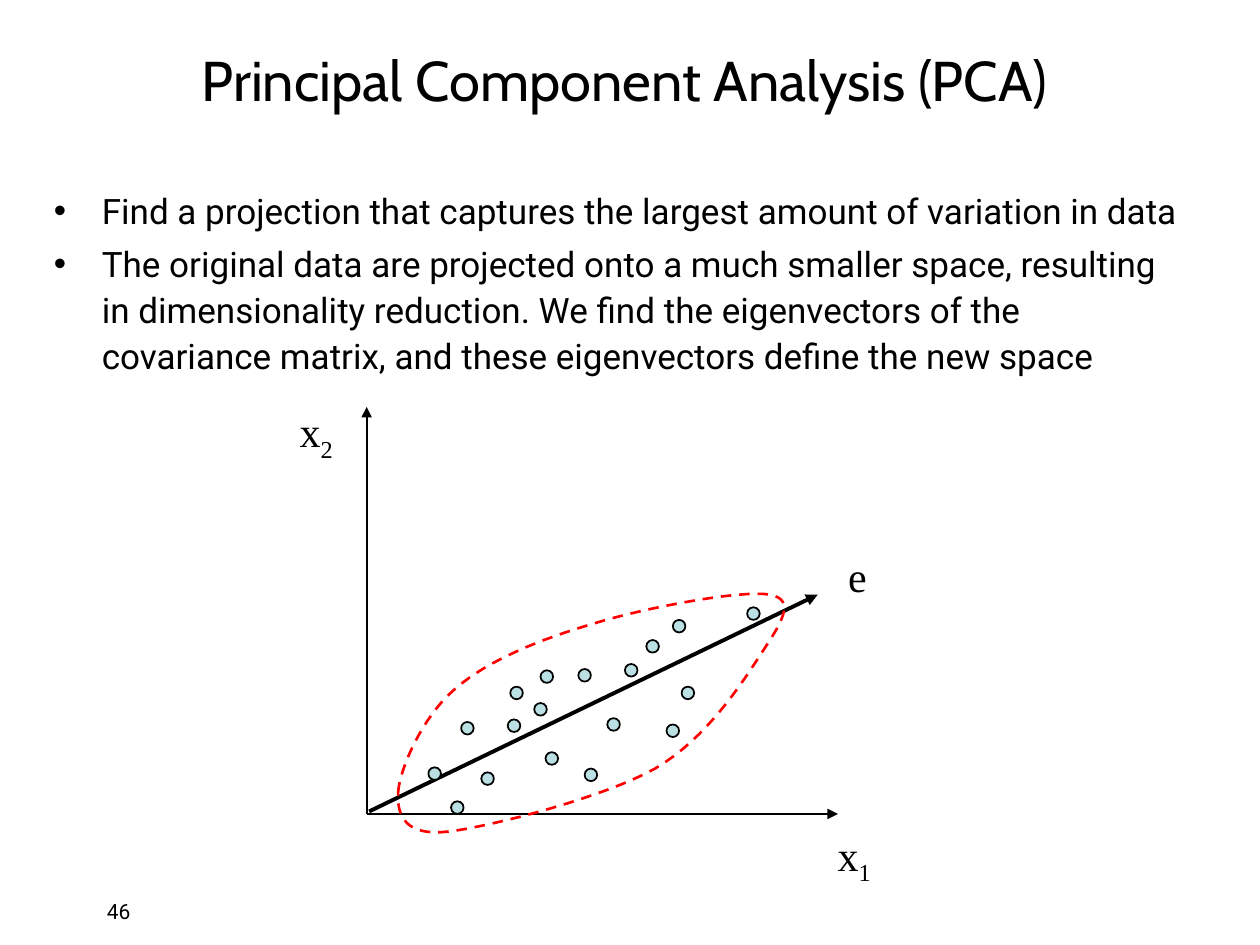
"""Build the slide on principal component analysis."""
import pptx
import pptx.dml.color
import pptx.enum.dml
import pptx.enum.shapes
import pptx.enum.text
import pptx.oxml
import pptx.oxml.ns
import pptx.util

Inches = pptx.util.Inches
Pt = pptx.util.Pt
PP_ALIGN = pptx.enum.text.PP_ALIGN
ANCHOR = pptx.enum.text.MSO_ANCHOR

COLORS = {"ink": "000000", "point": "BBE0E3", "outline": "FF0000"}
FONTS = {"title": "Cabin", "body": "Roboto", "label": "Times New Roman"}
POINT_SIZE = 0.1

BULLETS = [
    "Find a projection that captures the largest amount of variation in data",
    "The original data are projected onto a much smaller space, resulting in "
    "dimensionality reduction. We find the eigenvectors of the covariance "
    "matrix, and these eigenvectors define the new space",
]
ARROWS = [
    ((2.91, 6.46), (2.91, 3.23), 1),
    ((2.91, 6.46), (6.65, 6.46), 1),
    ((2.93, 6.44), (6.49, 4.72), 2.25),
]
DATA_POINTS = [
    (3.66, 5.73), (4.05, 5.45), (3.4, 6.09), (4.24, 5.58), (4.03, 5.71),
    (4.82, 5.7), (4.64, 6.1), (4.33, 5.97), (4.59, 5.31), (5.41, 5.45),
    (5.93, 4.82), (3.82, 6.13), (4.96, 5.27), (5.34, 4.92), (4.29, 5.32),
    (5.13, 5.08), (5.29, 5.75), (3.58, 6.36),
]
CLOUD_START = (3.16, 6.29)
CLOUD_CURVES = [
    ((3.17, 6.11), (3.35, 5.69), (3.61, 5.47)),
    ((3.87, 5.24), (4.3, 5.07), (4.71, 4.95)),
    ((5.13, 4.82), (5.89, 4.68), (6.11, 4.72)),
    ((6.33, 4.76), (6.19, 4.96), (6.04, 5.19)),
    ((5.89, 5.42), (5.61, 5.86), (5.2, 6.1)),
    ((4.79, 6.33), (3.9, 6.56), (3.56, 6.6)),
    ((3.22, 6.64), (3.15, 6.48), CLOUD_START),
]
AXIS_LABELS = [
    ("x", "2", (2.27, 3.2, 0.48, 0.5)),
    ("x", "1", (6.54, 6.56, 0.48, 0.5)),
    ("e", "", (6.63, 4.32, 0.35, 0.5)),
]


def color(name):
    """Return a named colour."""
    return pptx.dml.color.RGBColor.from_string(COLORS[name])


def add_xml(parent, tag, **attributes):
    """Append a drawing element with attributes."""
    child = pptx.oxml.parse_xml(f"<{tag} {pptx.oxml.ns.nsdecls('a')}/>")
    for key, value in attributes.items():
        child.set(key, value)
    parent.append(child)


def curve_points(start, curves, steps=16):
    """Return points along a chain of cubic curves."""
    points = []
    for first, second, end in curves:
        for step in range(1, steps + 1):
            t = step / steps
            weights = ((1 - t) ** 3, 3 * t * (1 - t) ** 2, 3 * t * t * (1 - t), t ** 3)
            controls = (start, first, second, end)
            points.append(tuple(
                Inches(sum(w * c[axis] for w, c in zip(weights, controls)))
                for axis in (0, 1)
            ))
        start = end
    return points


class SlideBuilder:
    """Hold the style and the current slide."""

    def __init__(self, slide):
        """Keep the slide to draw on."""
        self.slide = slide

    def style(self, font, role, size):
        """Set the face, size and colour of a font."""
        font.name = FONTS[role]
        font.size = Pt(size)
        font.color.rgb = color("ink")

    def title(self, text, box):
        """Place and format the title."""
        title = self.slide.shapes.title
        title.left, title.top, title.width, title.height = map(Inches, box)
        frame = title.text_frame
        frame.text = text
        frame.vertical_anchor = ANCHOR.MIDDLE
        frame.paragraphs[0].alignment = PP_ALIGN.CENTER
        self.style(frame.paragraphs[0].runs[0].font, "title", 32)

    def text(self, text, box, size):
        """Add a plain wrapped text box."""
        frame = self.slide.shapes.add_textbox(*map(Inches, box)).text_frame
        frame.word_wrap = True
        frame.text = text
        self.style(frame.paragraphs[0].runs[0].font, "body", size)

    def bullets(self, items, box):
        """Add a bulleted list."""
        frame = self.slide.shapes.add_textbox(*map(Inches, box)).text_frame
        frame.word_wrap = True
        for index, item in enumerate(items):
            paragraph = frame.add_paragraph() if index else frame.paragraphs[0]
            paragraph.text = item
            paragraph.line_spacing = 1.1
            paragraph.space_before = Pt(4 if index else 0)
            properties = paragraph._p.get_or_add_pPr()
            properties.set("marL", str(Inches(0.38)))
            properties.set("indent", str(-Inches(0.38)))
            add_xml(properties, "a:buFont", typeface="Arial")
            add_xml(properties, "a:buChar", char="•")
            self.style(paragraph.runs[0].font, "body", 20)

    def label(self, letter, subscript, box):
        """Add a centred label with an optional subscript."""
        frame = self.slide.shapes.add_textbox(*map(Inches, box)).text_frame
        frame.word_wrap = False
        frame.vertical_anchor = ANCHOR.MIDDLE
        frame.text = letter
        paragraph = frame.paragraphs[0]
        paragraph.alignment = PP_ALIGN.CENTER
        if subscript:
            lowered = paragraph.add_run()
            lowered.text = subscript
            lowered.font._element.set("baseline", "-25000")
        for run in paragraph.runs:
            self.style(run.font, "label", 24)

    def arrow(self, start, end, width):
        """Add a straight arrow."""
        arrow = self.slide.shapes.add_connector(
            pptx.enum.shapes.MSO_CONNECTOR.STRAIGHT, *map(Inches, start + end))
        arrow.line.color.rgb = color("ink")
        arrow.line.width = Pt(width)
        add_xml(arrow.line._get_or_add_ln(), "a:tailEnd", type="triangle")
        add_xml(arrow._element.spPr, "a:effectLst")

    def point(self, left, top):
        """Add one data point."""
        point = self.slide.shapes.add_shape(
            pptx.enum.shapes.MSO_SHAPE.OVAL,
            *map(Inches, (left, top, POINT_SIZE, POINT_SIZE)))
        point.shadow.inherit = False
        point.fill.solid()
        point.fill.fore_color.rgb = color("point")
        point.line.color.rgb = color("ink")
        point.line.width = Pt(1)

    def outline(self, start, curves):
        """Add a dashed closed curve."""
        builder = self.slide.shapes.build_freeform(*map(Inches, start))
        builder.add_line_segments(curve_points(start, curves), close=True)
        outline = builder.convert_to_shape()
        outline.shadow.inherit = False
        outline.fill.background()
        outline.line.color.rgb = color("outline")
        outline.line.width = Pt(1.5)
        outline.line.dash_style = pptx.enum.dml.MSO_LINE.DASH


def main():
    """Build and save the presentation."""
    deck = pptx.Presentation()
    deck.slide_width, deck.slide_height = Inches(10), Inches(7.5)
    builder = SlideBuilder(deck.slides.add_slide(deck.slide_layouts[5]))
    builder.title("Principal Component Analysis (PCA)", (0.17, 0.17, 9.58, 0.92))
    builder.bullets(BULLETS, (0.33, 1.42, 9.17, 1.75))
    for start, end, width in ARROWS:
        builder.arrow(start, end, width)
    for left, top in DATA_POINTS:
        builder.point(left, top)
    builder.outline(CLOUD_START, CLOUD_CURVES)
    for letter, subscript, box in AXIS_LABELS:
        builder.label(letter, subscript, box)
    builder.text("46", (0.75, 7.08, 2.08, 0.25), 12)
    deck.save("out.pptx")


if __name__ == "__main__":
    main()
